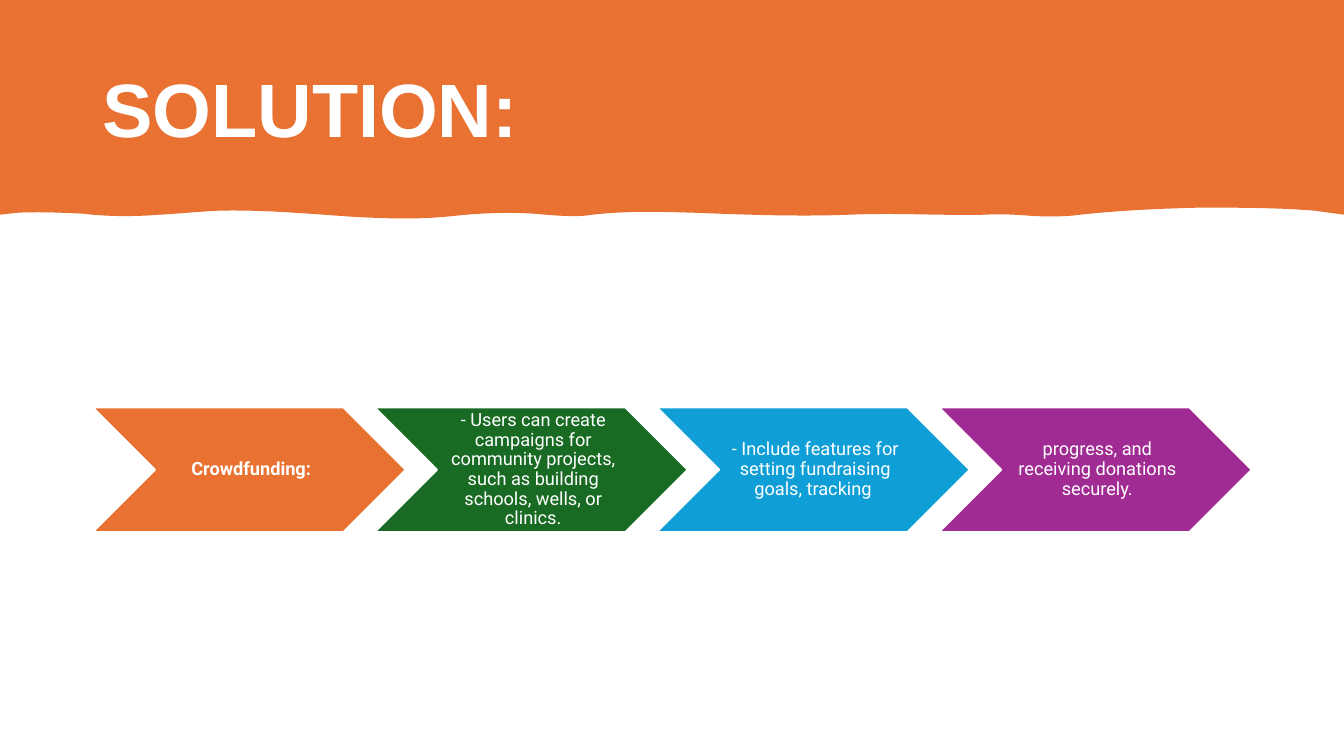
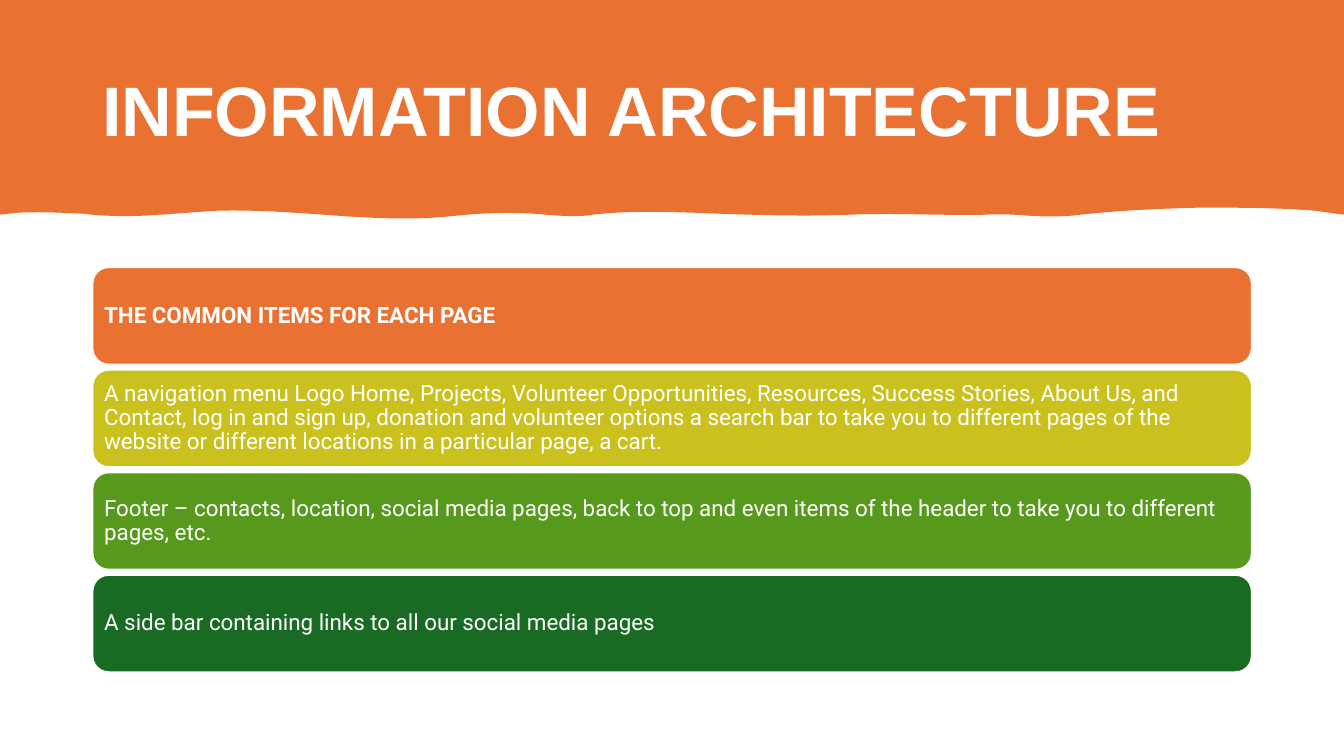
from dataclasses import dataclass

from lxml import etree
from pptx import Presentation
from pptx import util as u
from pptx.dml.color import RGBColor
from pptx.enum import shapes, text
from pptx.oxml.ns import qn

WIDTH, HEIGHT = 13.33, 7.5
MARGIN = 11 / 12
CONTENT_WIDTH = 11.5

WHITE = RGBColor(0xFF, 0xFF, 0xFF)
ORANGE = RGBColor(0xE9, 0x71, 0x32)
DARK_GREEN = RGBColor(0x19, 0x6B, 0x24)
BLUE = RGBColor(0x0F, 0x9E, 0xD5)
PURPLE = RGBColor(0xA0, 0x2B, 0x93)
OLIVE = RGBColor(0xCB, 0xC1, 0x1E)
GREEN = RGBColor(0x56, 0x99, 0x1D)

TITLE_FONT, BODY_FONT = "Arial", "Roboto"

BAND_DEPTH = 2.13
WAVE_START = (13.04, 2.09)
WAVE_CURVES = [
    ((12.66, 2.06), (12.28, 2.06), (11.9, 2.06)),
    ((11.48, 2.07), (11.05, 2.09), (10.63, 2.14)),
    ((10.49, 2.15), (10.35, 2.15), (10.21, 2.14)),
    ((10.07, 2.13), (9.92, 2.12), (9.77, 2.13)),
    ((9.33, 2.14), (8.88, 2.11), (8.43, 2.13)),
    ((7.91, 2.15), (7.39, 2.13), (6.87, 2.11)),
    ((6.51, 2.1), (6.16, 2.09), (5.8, 2.14)),
    ((5.67, 2.15), (5.54, 2.14), (5.41, 2.13)),
    ((5.12, 2.1), (4.82, 2.11), (4.52, 2.14)),
    ((4.18, 2.18), (3.84, 2.17), (3.49, 2.15)),
    ((3.05, 2.12), (2.61, 2.08), (2.17, 2.09)),
    ((1.97, 2.1), (1.77, 2.12), (1.58, 2.13)),
    ((1.33, 2.15), (1.07, 2.15), (0.82, 2.12)),
    ((0.61, 2.11), (0.4, 2.1), (0.18, 2.11)),
]


@dataclass
class Box:
    left: float
    top: float
    width: float
    height: float

    def emu(self):
        return [u.Inches(n) for n in (self.left, self.top, self.width, self.height)]


TITLE_BOX = Box(MARGIN, 0.4, CONTENT_WIDTH, 1.45)
STEPS_BOX = Box(MARGIN, 4.04, CONTENT_WIDTH, 1.24)
CARDS_BOX = Box(MARGIN, 2.65, CONTENT_WIDTH, 4.02)

STEPS = [
    ("Crowdfunding:", ORANGE),
    ("- Users can create campaigns for community projects, such as building "
     "schools, wells, or clinics.", DARK_GREEN),
    ("- Include features for setting fundraising goals, tracking ", BLUE),
    ("progress, and receiving donations securely.", PURPLE),
]
CARDS = [
    ("THE COMMON ITEMS FOR EACH PAGE", ORANGE),
    ("A navigation menu Logo Home, Projects, Volunteer Opportunities, Resources, "
     "Success Stories, About Us, and Contact, log in and sign up, donation and "
     "volunteer options a search bar to take you to different pages of the website "
     "or different locations in a particular page, a cart.", OLIVE),
    ("Footer – contacts, location, social media pages, back to top and even items "
     "of the header to take you to different pages, etc.", GREEN),
    ("A side bar containing links to all our social media pages", DARK_GREEN),
]


def write(shape, words, size, font=BODY_FONT, bold=False,
          align=text.PP_ALIGN.LEFT, insets=(0.1, 0.05, 0.1, 0.05)):
    frame = shape.text_frame
    frame.word_wrap = True
    frame.vertical_anchor = text.MSO_ANCHOR.MIDDLE
    (frame.margin_left, frame.margin_top,
     frame.margin_right, frame.margin_bottom) = map(u.Inches, insets)
    para = frame.paragraphs[0]
    para.alignment = align
    para.line_spacing = 0.9
    span = para.add_run()
    span.text = words
    span.font.size = u.Pt(size)
    span.font.name = font
    span.font.bold = bold
    span.font.color.rgb = WHITE


def add_block(page, kind, box, color):
    block = page.shapes.add_shape(kind, *box.emu())
    block.shadow.inherit = False
    block.fill.solid()
    block.fill.fore_color.rgb = color
    block.line.color.rgb = WHITE
    block.line.width = u.Pt(1.5)
    return block


def bend_lines(shape, first, count):
    lines = list(shape.element.iter(qn("a:lnTo")))
    for start in range(first, first + 3 * count, 3):
        triple = lines[start:start + 3]
        curve = etree.Element(qn("a:cubicBezTo"))
        triple[0].addprevious(curve)
        for line in triple:
            curve.append(line[0])
            line.getparent().remove(line)


def add_wave_band(page):
    corners = [(WIDTH, 0), (WIDTH, BAND_DEPTH), WAVE_START]
    wave = [point for curve in WAVE_CURVES for point in curve]
    points = corners + wave + [(0, BAND_DEPTH)]
    outline = page.shapes.build_freeform(0, 0)
    outline.add_line_segments([(u.Inches(x), u.Inches(y)) for x, y in points])
    band = outline.convert_to_shape()
    bend_lines(band, len(corners), len(WAVE_CURVES))
    band.shadow.inherit = False
    band.fill.solid()
    band.fill.fore_color.rgb = ORANGE
    band.line.fill.background()


def add_page(deck, title, size):
    page = deck.slides.add_slide(deck.slide_layouts[6])
    add_wave_band(page)
    heading = page.shapes.add_textbox(*TITLE_BOX.emu())
    write(heading, title, size, font=TITLE_FONT, bold=True)
    return page


def add_steps(page, box, steps):
    overlap = 0.1
    width = box.width / (len(steps) - overlap * (len(steps) - 1))
    for i, (words, color) in enumerate(steps):
        place = Box(box.left + i * width * (1 - overlap), box.top, width, box.height)
        chevron = add_block(page, shapes.MSO_SHAPE.CHEVRON, place, color)
        write(chevron, words, 13, bold=i == 0, align=text.PP_ALIGN.CENTER,
              insets=(0.06, 0.02, 0.02, 0.02))


def add_cards(page, box, cards):
    gap = 0.05
    height = (box.height - gap * (len(cards) - 1)) / len(cards)
    for i, (words, color) in enumerate(cards):
        place = Box(box.left, box.top + i * (height + gap), box.width, height)
        card = add_block(page, shapes.MSO_SHAPE.ROUNDED_RECTANGLE, place, color)
        write(card, words, 16, bold=i == 0, insets=(0.07,) * 4)


def main():
    deck = Presentation()
    deck.slide_width = u.Inches(WIDTH)
    deck.slide_height = u.Inches(HEIGHT)
    add_steps(add_page(deck, "SOLUTION:", 54), STEPS_BOX, STEPS)
    add_cards(add_page(deck, "INFORMATION ARCHITECTURE", 50), CARDS_BOX, CARDS)
    deck.save("out.pptx")


if __name__ == "__main__":
    main()
